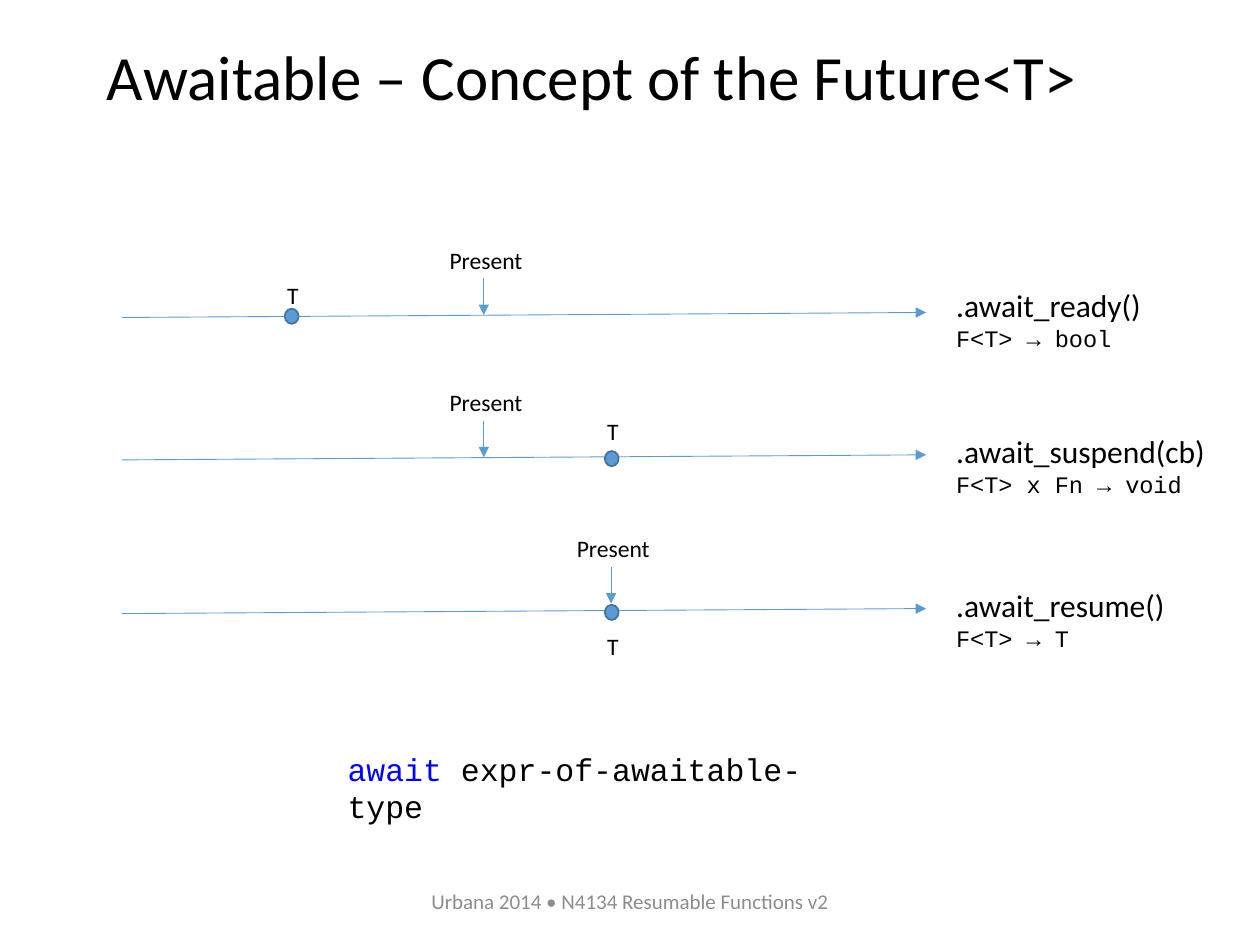
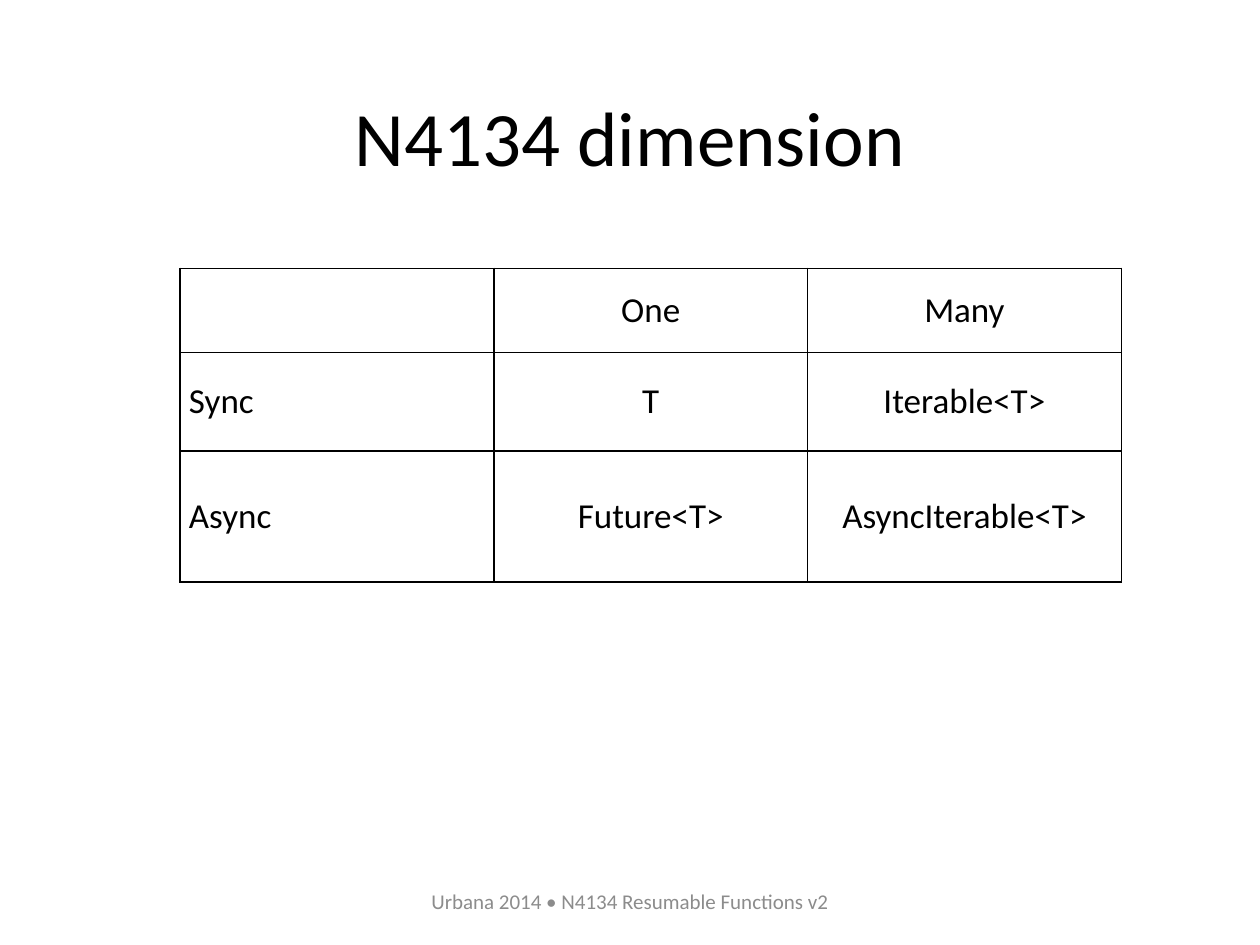
import pptx
import pptx.util
import pptx.dml.color
import pptx.enum.shapes
import pptx.enum.text
import pptx.oxml
import pptx.oxml.ns

Inches, Pt = pptx.util.Inches, pptx.util.Pt
RGB = pptx.dml.color.RGBColor.from_string
Align = pptx.enum.text.PP_ALIGN
Anchor = pptx.enum.text.MSO_ANCHOR
AutoSize = pptx.enum.text.MSO_AUTO_SIZE
STRAIGHT = pptx.enum.shapes.MSO_CONNECTOR.STRAIGHT
OVAL = pptx.enum.shapes.MSO_SHAPE.OVAL

THEME = {
    "black": RGB("000000"), "grey": RGB("8C8C8C"), "keyword": RGB("0000FF"),
    "blue": RGB("5B9BD5"), "dot_edge": RGB("43739E"),
    "body": "Calibri", "code": "Courier New",
    "title": Pt(36), "big_title": Pt(44), "method": Pt(18), "cell": Pt(20),
    "small": Pt(13.5), "footer": Pt(12),
}
FOOTER = "Urbana 2014 • N4134 Resumable Functions v2"
CENTERED = {"alignment": Align.CENTER}
TITLE = {"line_spacing": 0.9}
MIDDLE = {"word_wrap": True, "vertical_anchor": Anchor.MIDDLE}
GROW = {"word_wrap": False, "auto_size": AutoSize.SHAPE_TO_FIT_TEXT}


def add_text(shapes, box, runs, frame_format, paragraph_format={}):
    """Add a one-paragraph box; runs are (text, size, font, colour), None breaks the line."""
    frame = shapes.add_textbox(*map(Inches, box)).text_frame
    paragraph = frame.paragraphs[0]
    for target, values in ((frame, frame_format), (paragraph, paragraph_format)):
        for name, value in values.items():
            setattr(target, name, value)
    for item in runs:
        if item is None:
            paragraph.add_line_break()
            continue
        text, size, font, colour = item
        run = paragraph.add_run()
        run.text = text
        for name, value in {"size": THEME[size], "name": THEME[font]}.items():
            setattr(run.font, name, value)
        run.font.color.rgb = THEME[colour]


def add_arrow(shapes, *ends):
    """Add a thin blue arrow from x1, y1 to x2, y2."""
    arrow = shapes.add_connector(STRAIGHT, *map(Inches, ends))
    arrow.line.color.rgb = THEME["blue"]
    arrow.line.width = Pt(0.5)
    head = pptx.oxml.parse_xml(
        f'<a:tailEnd {pptx.oxml.ns.nsdecls("a")} type="triangle"/>')
    arrow.line._get_or_add_ln().append(head)
    no_effects = pptx.oxml.parse_xml(f'<a:effectLst {pptx.oxml.ns.nsdecls("a")}/>')
    arrow._element.spPr.append(no_effects)


deck = pptx.Presentation()
deck.slide_width, deck.slide_height = Inches(10), Inches(7.5)

# Titles and footers of both slides
titles = [
    ((0.75, 0.27, 8.62, 0.74), "Awaitable – Concept of the Future<T>", "title", TITLE),
    ((0.69, 0.4, 8.62, 1.45), "N4134 dimension", "big_title", TITLE | CENTERED),
]
for box, title, size, style in titles:
    slide = deck.slides.add_slide(deck.slide_layouts[6])
    add_text(slide.shapes, box, [(title, size, "body", "black")], MIDDLE, style)
    add_text(slide.shapes, (3.31, 6.95, 3.38, 0.4),
             [(FOOTER, "footer", "body", "grey")], MIDDLE, CENTERED)
awaitable, dimension = deck.slides

# Timelines: method, signature, box top and width, axis y, dot x, T top,
# present x, lift of the present marker
timelines = [
    (".await_ready()", "F<T> → bool", 2.22, 1.68, 2.52, 2.26, 2.18, 3.84, 0),
    (".await_suspend(cb)", "F<T> x Fn → void", 3.38, 2.2, 3.65, 4.8, 3.26, 3.84, 0),
    (".await_resume()", "F<T> → T", 4.6, 1.88, 4.87, 4.8, 4.97, 4.85, 0.06),
]
for method, signature, top, width, axis, dot_x, t_top, present, lift in timelines:
    add_text(awaitable.shapes, (7.49, top, width, 0.63),
             [(method, "method", "body", "black"), None,
              (signature, "small", "code", "black")], GROW)
    timeline = awaitable.shapes.add_group_shape().shapes
    add_arrow(timeline, 0.97, axis, 7.35, axis - 0.04)

    dot = timeline.add_shape(OVAL, *map(Inches, (dot_x, axis - 0.07, 0.11, 0.12)))
    dot.shadow.inherit = False
    dot.fill.solid()
    dot.fill.fore_color.rgb = THEME["blue"]
    dot.line.color.rgb = THEME["dot_edge"]
    dot.line.width = Pt(1)

    add_arrow(timeline, present, axis - 0.31 - lift, present, axis - 0.02 - lift)
    add_text(timeline, (present - 0.37, axis - 0.62 - lift, 0.79, 0.33),
             [("Present", "small", "body", "black")], GROW)
    add_text(timeline, (dot_x - 0.08, t_top, 0.29, 0.33),
             [("T", "small", "body", "black")], GROW)

# Await expression
add_text(awaitable.shapes, (2.66, 5.9, 4.08, 0.4),
         [("await", "method", "code", "keyword"),
          (" expr-of-awaitable-type", "method", "code", "black")],
         GROW | {"word_wrap": True})

# Table of dimensions
kinds = [
    ["", "One", "Many"],
    ["Sync", "T", "Iterable<T>"],
    ["Async", "Future<T>", "AsyncIterable<T>"],
]
row_heights = [0.67, 0.78, 1.04]
grid = dimension.shapes.add_table(
    3, 3, *map(Inches, (1.43, 2.13, 7.46, sum(row_heights)))).table
for flag in ("first_row", "horz_banding"):
    setattr(grid, flag, False)
for column in grid.columns:
    column.width = Inches(2.49)
cell_format = {
    "vertical_anchor": Anchor.MIDDLE,
    "margin_left": Inches(0.07), "margin_right": Inches(0.07),
    "margin_top": Inches(0.04), "margin_bottom": Inches(0.04),
}
for r, (height, texts) in enumerate(zip(row_heights, kinds)):
    grid.rows[r].height = Inches(height)
    for c, text in enumerate(texts):
        cell = grid.cell(r, c)
        for name, value in cell_format.items():
            setattr(cell, name, value)
        paragraph = cell.text_frame.paragraphs[0]
        paragraph.text = text
        paragraph.alignment = Align.CENTER if c else Align.LEFT
        for name, value in {"size": THEME["cell"], "name": THEME["body"]}.items():
            setattr(paragraph.font, name, value)
        paragraph.font.color.rgb = THEME["black"]
        # Borders come before the fill in the cell properties
        properties = cell._tc.get_or_add_tcPr()
        for side in ("lnL", "lnR", "lnT", "lnB"):
            properties.append(pptx.oxml.parse_xml(
                f'<a:{side} {pptx.oxml.ns.nsdecls("a")} w="{Pt(1)}"><a:solidFill>'
                f'<a:srgbClr val="{THEME["black"]}"/></a:solidFill></a:{side}>'))
        cell.fill.background()

deck.save("out.pptx")
